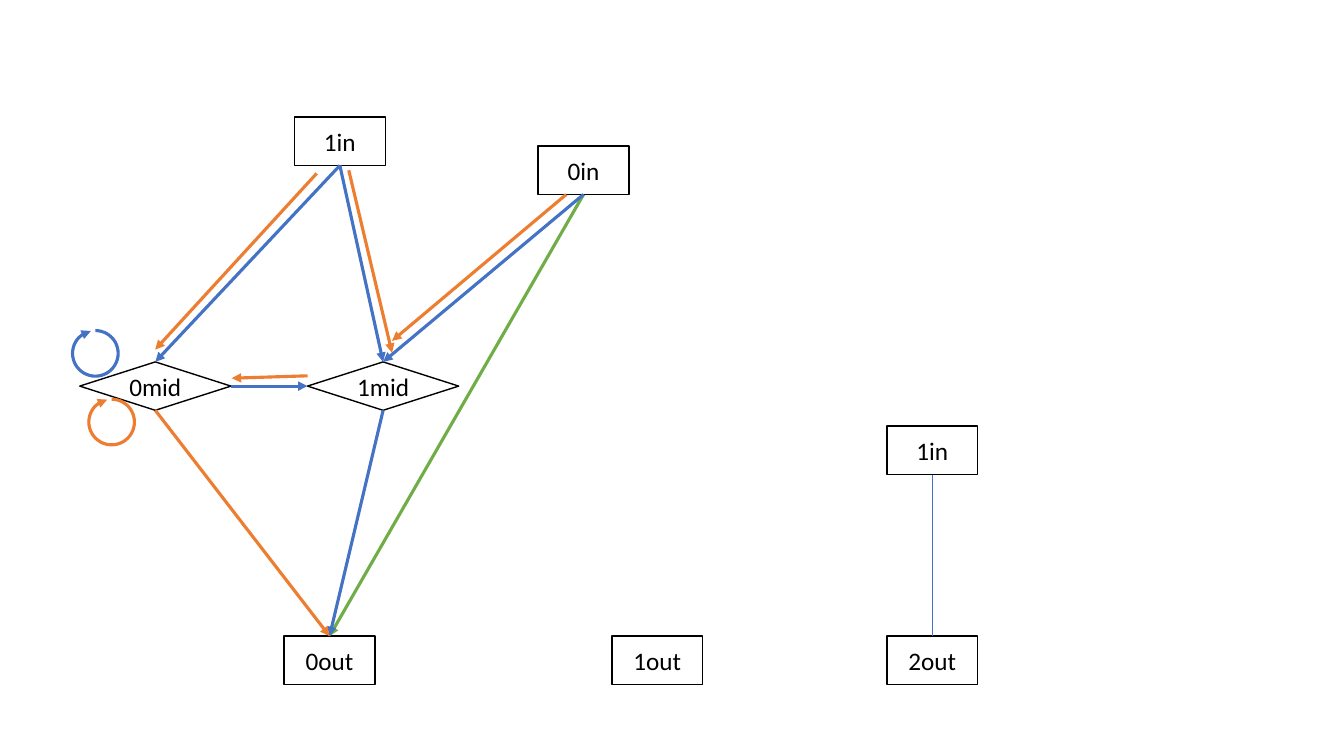
from dataclasses import dataclass
from typing import Optional

import lxml.etree
import pptx
import pptx.dml.color
import pptx.enum.shapes
import pptx.enum.text
import pptx.oxml.ns
import pptx.util

Cm = pptx.util.Cm
Pt = pptx.util.Pt
RGB = pptx.dml.color.RGBColor
Kind = pptx.enum.shapes.MSO_SHAPE

BLACK = RGB(0x00, 0x00, 0x00)
WHITE = RGB(0xFF, 0xFF, 0xFF)
BLUE = RGB(0x44, 0x72, 0xC4)
ORANGE = RGB(0xED, 0x7D, 0x31)
GREEN = RGB(0x70, 0xAD, 0x47)

TOP, LEFT, BOTTOM, RIGHT = range(4)
BOX_W, MID_W, NODE_H = 2.29, 3.81, 1.22
LOOP = 1.15
THICK, THIN = 2.25, 0.5
OUT_Y, MID_Y = 16.03, 9.12


@dataclass
class Node:
    key: str
    text: str
    x: float
    y: float
    width: float = BOX_W
    kind: Kind = Kind.RECTANGLE


@dataclass
class End:
    key: str = ""
    side: int = TOP
    x: float = 0
    y: float = 0


@dataclass
class Link:
    start: End
    stop: End
    color: RGB
    weight: float = THICK
    arrow: bool = True


@dataclass
class Loop:
    x: float
    y: float
    color: RGB


NODES = [
    Node("0out", "0out", 7.16, OUT_Y),
    Node("1out", "1out", 15.42, OUT_Y),
    Node("2out", "2out", 22.35, OUT_Y),
    Node("side", "1in", 22.35, 10.74),
    Node("1in", "1in", 7.42, 2.95),
    Node("0mid", "0mid", 2.01, MID_Y, MID_W, Kind.FLOWCHART_DECISION),
    Node("1mid", "1mid", 7.75, MID_Y, MID_W, Kind.FLOWCHART_DECISION),
    Node("0in", "0in", 13.56, 3.68),
]

LINKS = [
    Link(End("side", BOTTOM), End("2out"), BLUE, THIN, False),
    Link(End("0in", BOTTOM), End("0out"), GREEN),
    Link(End("1mid", BOTTOM), End("0out"), BLUE),
    Link(End("1in", BOTTOM), End("1mid"), BLUE),
    Link(End("0in", BOTTOM), End("1mid"), BLUE),
    Link(End("1in", BOTTOM), End("0mid"), BLUE),
    Link(End("0mid", RIGHT), End("1mid", LEFT), BLUE),
    Link(End(x=14.27, y=4.9), End(x=9.88, y=8.59), ORANGE),
    Link(End(x=7.75, y=9.47), End(x=5.84, y=9.53), ORANGE),
    Link(End(x=8.79, y=4.29), End(x=9.88, y=8.89), ORANGE),
    Link(End(x=7.98, y=4.37), End(x=3.91, y=8.81), ORANGE),
    Link(End("0mid", BOTTOM), End("0out"), ORANGE),
]

LOOPS = [Loop(1.83, 8.33, BLUE), Loop(2.24, 10.06, ORANGE)]


def write(shape, text: str, *, size: float = 18, font: str = "Calibri",
          color: RGB = BLACK) -> None:
    frame = shape.text_frame
    frame.margin_left = frame.margin_right = 0
    frame.vertical_anchor = pptx.enum.text.MSO_ANCHOR.MIDDLE
    para = frame.paragraphs[0]
    para.alignment = pptx.enum.text.PP_ALIGN.CENTER
    run = para.add_run()
    run.text = text
    run.font.size = Pt(size)
    run.font.name = font
    run.font.color.rgb = color


def stroke(shape, color: RGB, weight: float, arrow: bool = False) -> None:
    shape.line.color.rgb = color
    shape.line.width = Pt(weight)
    if arrow:
        qn = pptx.oxml.ns.qn
        line = shape.element.spPr.find(qn("a:ln"))
        lxml.etree.SubElement(line, qn("a:tailEnd"), type="triangle")


def add_node(slide, node: Node):
    shape = slide.shapes.add_shape(
        node.kind, Cm(node.x), Cm(node.y), Cm(node.width), Cm(NODE_H))
    shape.shadow.inherit = False
    shape.fill.solid()
    shape.fill.fore_color.rgb = WHITE
    stroke(shape, BLACK, 1)
    write(shape, node.text)
    return shape


def add_link(slide, link: Link, shapes: dict[str, object],) -> None:
    start: Optional[object] = shapes.get(link.start.key)
    stop: Optional[object] = shapes.get(link.stop.key)
    line = slide.shapes.add_connector(
        pptx.enum.shapes.MSO_CONNECTOR.STRAIGHT,
        Cm(link.start.x), Cm(link.start.y), Cm(link.stop.x), Cm(link.stop.y))
    if start is not None:
        line.begin_connect(start, link.start.side)
    if stop is not None:
        line.end_connect(stop, link.stop.side)
    stroke(line, link.color, link.weight, link.arrow)
    lxml.etree.SubElement(line.element.spPr, pptx.oxml.ns.qn("a:effectLst"))


def add_loop(slide, loop: Loop) -> None:
    arc = slide.shapes.add_shape(
        Kind.ARC, Cm(loop.x), Cm(loop.y), Cm(LOOP), Cm(LOOP))
    arc.adjustments[0] = 162
    arc.adjustments[1] = 155.21
    arc.shadow.inherit = False
    arc.fill.background()
    stroke(arc, loop.color, THICK, True)


def main() -> None:
    deck = pptx.Presentation()
    deck.slide_width, deck.slide_height = Cm(33.87), Cm(19.05)
    slide = deck.slides.add_slide(deck.slide_layouts[6])
    shapes = {node.key: add_node(slide, node) for node in NODES}
    for link in LINKS:
        add_link(slide, link, shapes)
    for loop in LOOPS:
        add_loop(slide, loop)
    deck.save("out.pptx")


if __name__ == "__main__":
    main()
